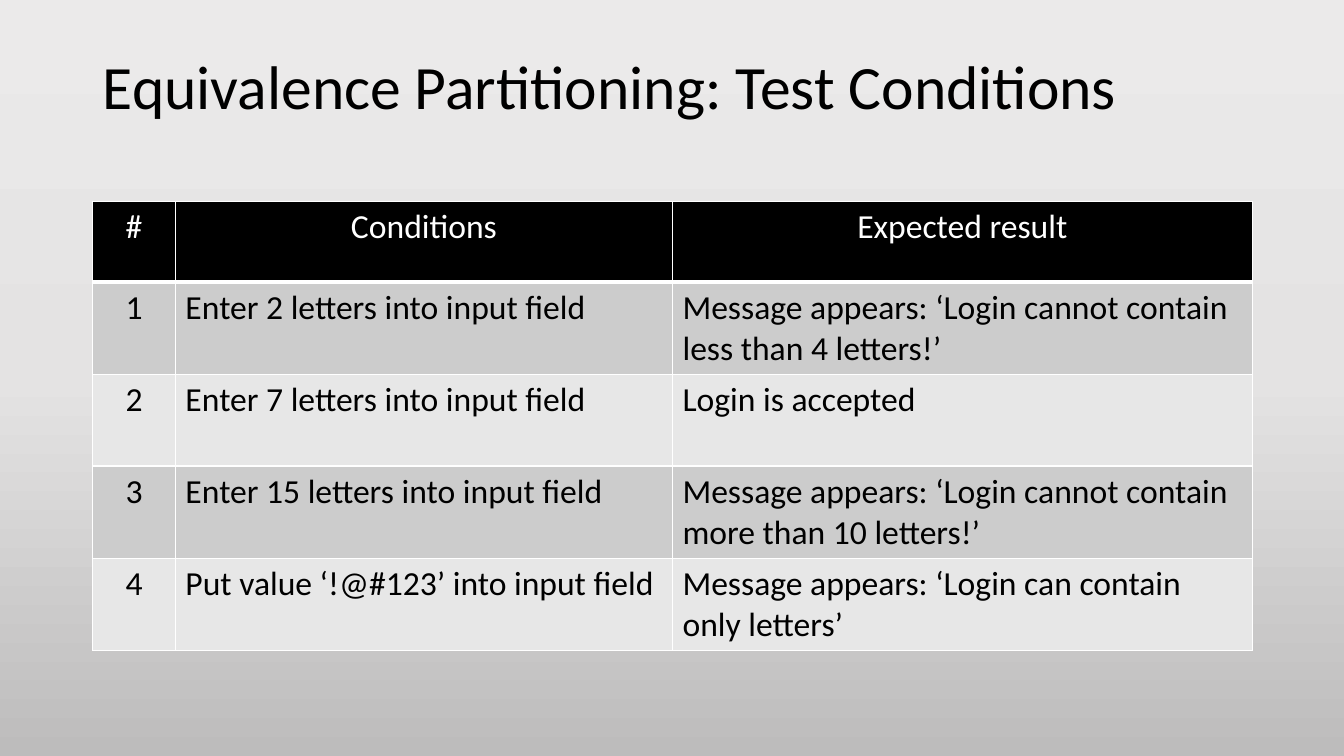
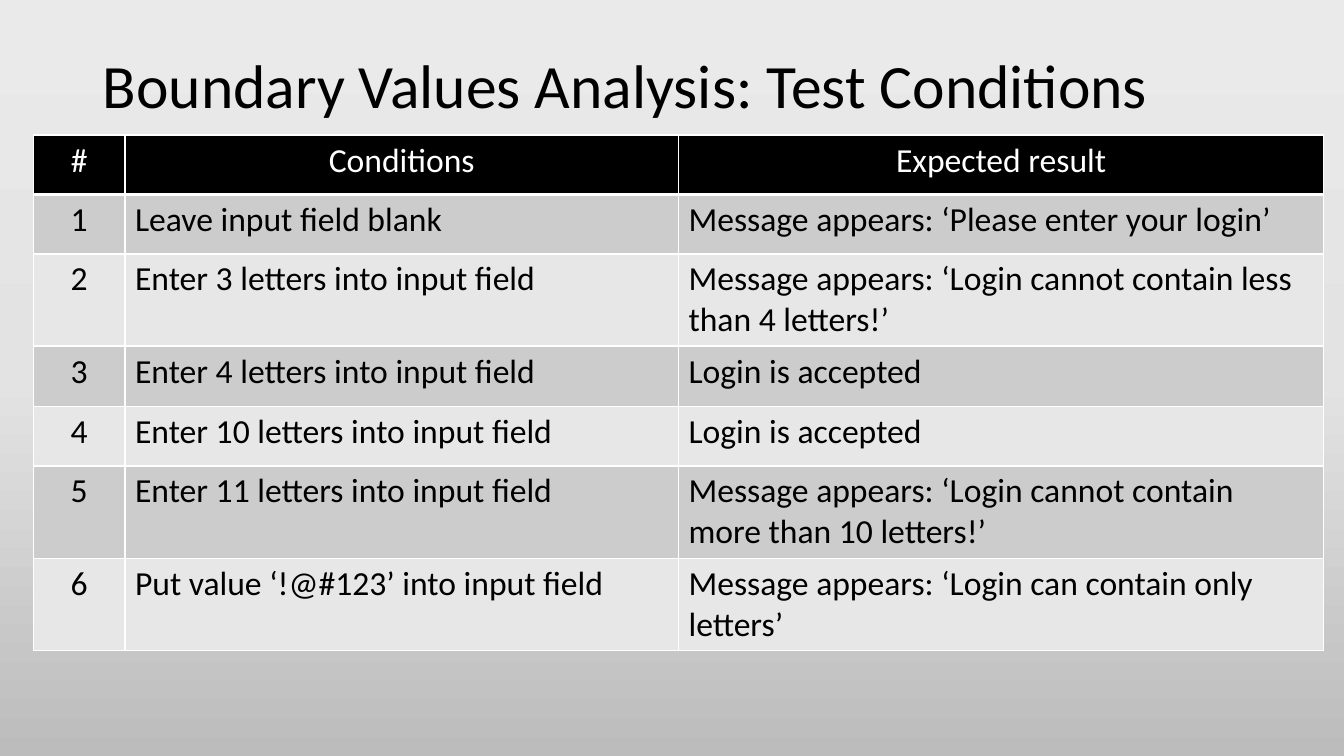
from copy import deepcopy
from dataclasses import dataclass

from lxml.etree import SubElement
from pptx import Presentation
from pptx.dml.color import RGBColor
from pptx.enum.text import MSO_ANCHOR, PP_ALIGN
from pptx.oxml.ns import qn
from pptx.presentation import Presentation as Deck
from pptx.slide import SlideMaster
from pptx.table import _Cell as Cell
from pptx.util import Inches, Pt

BLACK = RGBColor(0x00, 0x00, 0x00)
WHITE = RGBColor(0xFF, 0xFF, 0xFF)
ODD_ROW = RGBColor(0xCC, 0xCC, 0xCC)
EVEN_ROW = RGBColor(0xE7, 0xE7, 0xE7)
BACKGROUND = (
    RGBColor(0xEB, 0xEA, 0xEA),
    RGBColor(0xE4, 0xE3, 0xE3),
    RGBColor(0xBD, 0xBC, 0xBC),
)
FONT = "Calibri"
TITLE_LEFT, TITLE_WIDTH = 0.92, 11.5
TITLE_ONLY = 5
HEADER = ("#", "Conditions", "Expected result")

ACCEPTED = "Login is accepted"
TOO_SHORT = "Message appears: ‘Login cannot contain less than 4 letters!’"
TOO_LONG = "Message appears: ‘Login cannot contain more than 10 letters!’"
ONLY_LETTERS = "Message appears: ‘Login can contain only letters’"
BAD_VALUE = "Put value ‘!@#123’ into input field"


@dataclass(frozen=True)
class TestSlide:
    """A titled table of test conditions; lengths are in inches."""

    title: str
    title_top: float
    title_height: float
    left: float
    top: float
    col_widths: tuple[float, ...]
    row_heights: tuple[float, ...]
    tests: tuple[tuple[str, str], ...]


def enter(count: int) -> str:
    """Word the condition of typing a number of letters."""
    return f"Enter {count} letters into input field"


SLIDES = (
    TestSlide(
        "Equivalence Partitioning: Test Conditions", 0.4, 0.98,
        0.92, 2, (0.82, 4.93, 5.75), (0.8,) + (0.91,) * 4,
        (
            (enter(2), TOO_SHORT),
            (enter(7), ACCEPTED),
            (enter(15), TOO_LONG),
            (BAD_VALUE, ONLY_LETTERS),
        ),
    ),
    TestSlide(
        "Boundary Values Analysis: Test Conditions", 0.15, 1.45,
        0.33, 1.34, (0.91, 5.49, 6.4),
        (0.59, 0.59, 0.91, 0.6, 0.59, 0.91, 0.91),
        (
            ("Leave input field blank",
             "Message appears: ‘Please enter your login’"),
            (enter(3), TOO_SHORT),
            (enter(4), ACCEPTED),
            (enter(10), ACCEPTED),
            (enter(11), TOO_LONG),
            (BAD_VALUE, ONLY_LETTERS),
        ),
    ),
)


def set_background(master: SlideMaster) -> None:
    """Give every slide the same vertical three-stop gradient."""
    fill = master.background.fill
    fill.gradient()
    fill.gradient_angle = 270
    stops = master.element.find(".//" + qn("a:gsLst"))
    stops.append(deepcopy(stops[-1]))
    for i, (stop, color) in enumerate(zip(fill.gradient_stops, BACKGROUND)):
        stop.position = i / (len(BACKGROUND) - 1)
        stop.color.rgb = color


def set_borders(cell: Cell, top: float, bottom: float) -> None:
    """Draw white cell borders, with the widths of top and bottom in points."""
    tc_pr = cell._tc.get_or_add_tcPr()
    for side, width in (("L", 1), ("R", 1), ("T", top), ("B", bottom)):
        ln = SubElement(tc_pr, qn(f"a:ln{side}"), w=str(Pt(width)))
        fill = SubElement(ln, qn("a:solidFill"))
        SubElement(fill, qn("a:srgbClr"), val=str(WHITE))


def fill_cell(cell: Cell, text: str, row: int, col: int) -> None:
    """Write and format one cell according to its row and column."""
    is_header = row == 0
    set_borders(cell, 3 if row == 1 else 1, 3 if is_header else 1)
    cell.fill.solid()
    cell.fill.fore_color.rgb = (
        BLACK if is_header else ODD_ROW if row % 2 else EVEN_ROW
    )
    cell.text_frame.text = text
    p = cell.text_frame.paragraphs[0]
    p.alignment = PP_ALIGN.CENTER if is_header or col == 0 else PP_ALIGN.LEFT
    font = p.runs[0].font
    font.name, font.size, font.bold = FONT, Pt(24), False
    font.color.rgb = WHITE if is_header else BLACK


def add_slide(prs: Deck, content: TestSlide) -> None:
    """Add one slide with its title and table."""
    s = prs.slides.add_slide(prs.slide_layouts[TITLE_ONLY])
    sp = s.shapes.title
    sp.left, sp.top = Inches(TITLE_LEFT), Inches(content.title_top)
    sp.width, sp.height = Inches(TITLE_WIDTH), Inches(content.title_height)
    tf = sp.text_frame
    tf.text = content.title
    tf.vertical_anchor = MSO_ANCHOR.MIDDLE
    p = tf.paragraphs[0]
    p.alignment, p.line_spacing = PP_ALIGN.LEFT, 0.9
    font = p.runs[0].font
    font.name, font.size = FONT, Pt(44)
    font.color.rgb = BLACK

    rows = [HEADER] + [(str(n), *test) for n, test in enumerate(content.tests, 1)]
    table = s.shapes.add_table(
        len(rows), len(HEADER), Inches(content.left), Inches(content.top),
        Inches(sum(content.col_widths)), Inches(sum(content.row_heights)),
    ).table
    for column, width in zip(table.columns, content.col_widths):
        column.width = Inches(width)
    for row, height in zip(table.rows, content.row_heights):
        row.height = Inches(height)
    for i, texts in enumerate(rows):
        for j, text in enumerate(texts):
            fill_cell(table.cell(i, j), text, i, j)


def main() -> None:
    """Build and save the presentation."""
    prs = Presentation()
    prs.slide_width, prs.slide_height = Inches(13.33), Inches(7.5)
    set_background(prs.slide_master)
    for content in SLIDES:
        add_slide(prs, content)
    prs.save("out.pptx")


main()
